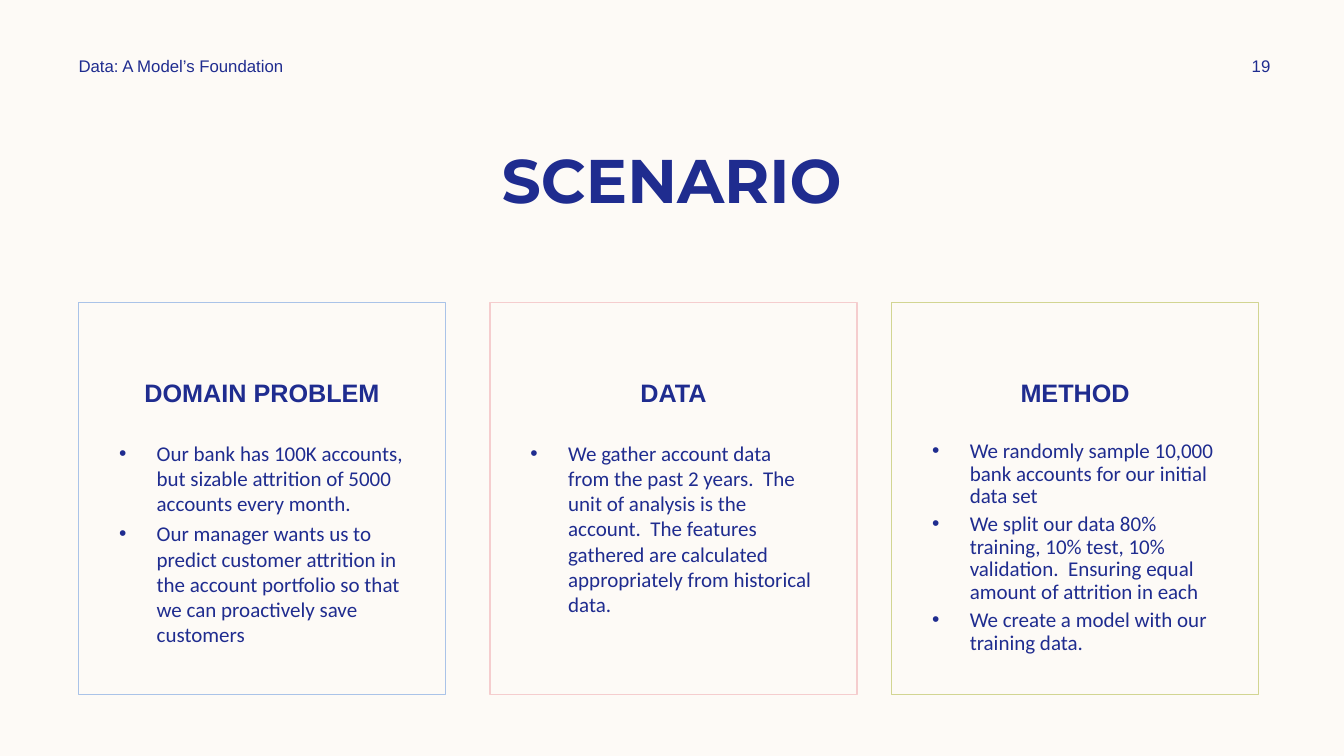
from dataclasses import dataclass

from lxml.etree import SubElement
from pptx import Presentation
from pptx.dml.color import RGBColor
from pptx.enum.shapes import MSO_SHAPE
from pptx.enum.text import MSO_ANCHOR, PP_ALIGN
from pptx.oxml.ns import qn
from pptx.util import Cm, Pt


@dataclass(frozen=True)
class Theme:
    background: RGBColor = RGBColor.from_string("FDFAF6")
    ink: RGBColor = RGBColor.from_string("1F2C8F")
    blue: RGBColor = RGBColor.from_string("AAC3E8")
    pink: RGBColor = RGBColor.from_string("F5CDCE")
    green: RGBColor = RGBColor.from_string("D2D592")
    title_font: str = "Montserrat"
    label_font: str = "Arial"
    body_font: str = "Calibri"
    title_size: int = 44
    heading_size: int = 18
    body_size: int = 15
    label_size: int = 12


THEME = Theme()

CARDS = [
    (1.98, THEME.blue, "DOMAIN PROBLEM", 1, [
        "Our bank has 100K accounts, but sizable attrition of 5000 accounts every month.",
        "Our manager wants us to predict customer attrition in the account portfolio "
        "so that we can proactively save customers",
    ]),
    (12.35, THEME.pink, "DATA", 1, [
        "We gather account data from the past 2 years.  The unit of analysis is the account.  "
        "The features gathered are calculated appropriately from historical data.",
    ]),
    (22.47, THEME.green, "METHOD", 0.9, [
        "We randomly sample 10,000 bank accounts for our initial data set",
        "We split our data 80% training, 10% test, 10% validation.  "
        "Ensuring equal amount of attrition in each",
        "We create a model with our training data.",
    ]),
]


def style(paragraph, font_name, size, bold=False, align=PP_ALIGN.LEFT):
    paragraph.alignment = align
    font = paragraph.font
    font.name = font_name
    font.size = Pt(size)
    font.bold = bold
    font.color.rgb = THEME.ink


def add_bullet(paragraph):
    properties = paragraph._p.get_or_add_pPr()
    properties.set("marL", str(Cm(0.95)))
    properties.set("indent", str(Cm(-0.95)))
    SubElement(properties, qn("a:buFont"), typeface="Arial")
    SubElement(properties, qn("a:buChar"), char="•")


def add_line(slide, left, top, width, height, text, font_name, size,
             bold=False, align=PP_ALIGN.LEFT, anchor=MSO_ANCHOR.MIDDLE):
    frame = slide.shapes.add_textbox(Cm(left), Cm(top), Cm(width), Cm(height)).text_frame
    frame.word_wrap = True
    frame.vertical_anchor = anchor
    frame.text = text
    style(frame.paragraphs[0], font_name, size, bold, align)


def add_header(slide, left, top, width, height):
    number_width = 2.74
    add_line(slide, left, top, 8.89, height, "Data: A Model’s Foundation",
             THEME.label_font, THEME.label_size)
    add_line(slide, left + width - number_width, top, number_width, height, "19",
             THEME.label_font, THEME.label_size, align=PP_ALIGN.CENTER)


def add_title(slide, left, top, width, height):
    add_line(slide, left, top, width, height, "SCENARIO", THEME.title_font,
             THEME.title_size, True, PP_ALIGN.CENTER, MSO_ANCHOR.BOTTOM)


def add_card(slide, left, top, width, height, border, heading, line_spacing, points):
    card = slide.shapes.add_shape(MSO_SHAPE.RECTANGLE, Cm(left), Cm(top), Cm(width), Cm(height))
    card.shadow.inherit = False
    card.fill.background()
    card.line.color.rgb = border
    card.line.width = Pt(1)
    card_frame = card.text_frame
    card_frame.word_wrap = True
    card_frame.vertical_anchor = MSO_ANCHOR.TOP
    card_frame.margin_top = Cm(1.9)
    card_frame.text = heading
    style(card_frame.paragraphs[0], THEME.label_font, THEME.heading_size, True, PP_ALIGN.CENTER)

    inset, drop = 0.77, 3.35
    points_frame = slide.shapes.add_textbox(
        Cm(left + inset), Cm(top + drop), Cm(width - 2 * inset), Cm(height - drop - 0.4)
    ).text_frame
    points_frame.word_wrap = True
    points_frame.text = "\n".join(points)
    for index, point in enumerate(points_frame.paragraphs):
        add_bullet(point)
        style(point, THEME.body_font, THEME.body_size)
        point.line_spacing = line_spacing
        point.space_before = Pt(3.6 if index else 0)


def main():
    presentation = Presentation()
    presentation.slide_width = Cm(33.87)
    presentation.slide_height = Cm(19.05)
    slide = presentation.slides.add_slide(presentation.slide_layouts[6])
    slide.background.fill.solid()
    slide.background.fill.fore_color.rgb = THEME.background
    add_header(slide, 1.73, 1.27, 31.42, 0.76)
    add_title(slide, 2.11, 3.43, 29.64, 2.13)
    for left, *content in CARDS:
        add_card(slide, left, 7.62, 9.25, 9.88, *content)
    presentation.save("out.pptx")


if __name__ == "__main__":
    main()
